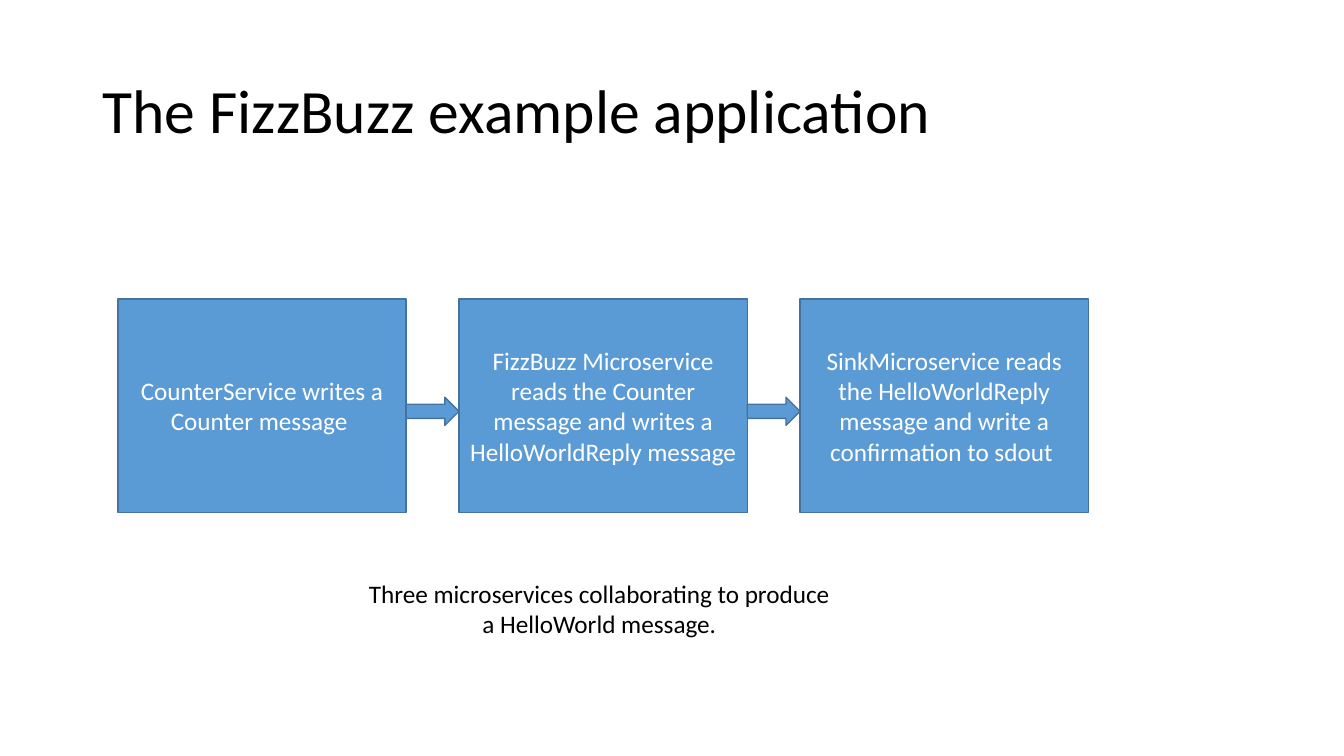
"""Build the FizzBuzz example application slide."""
from dataclasses import dataclass

import pptx
import pptx.dml.color
import pptx.enum.shapes
import pptx.enum.text
import pptx.util

Cm = pptx.util.Cm
Pt = pptx.util.Pt
RGB = pptx.dml.color.RGBColor
SHAPE = pptx.enum.shapes.MSO_SHAPE
ALIGN = pptx.enum.text.PP_ALIGN
ANCHOR = pptx.enum.text.MSO_ANCHOR
AUTO = pptx.enum.text.MSO_AUTO_SIZE


@dataclass(frozen=True)
class Theme:
    """Hold the colours, font and type sizes of the slide."""
    font: str = "Calibri"
    title_size: int = 44
    body_size: int = 18
    text: RGB = RGB(0x00, 0x00, 0x00)
    box_text: RGB = RGB(0xFF, 0xFF, 0xFF)
    fill: RGB = RGB(0x5B, 0x9B, 0xD5)
    line: RGB = RGB(0x43, 0x73, 0x9E)


THEME = Theme()
SERVICES = (
    "CounterService writes a Counter message ",
    "FizzBuzz Microservice reads the Counter message and writes a "
    "HelloWorldReply message ",
    "SinkMicroservice reads the HelloWorldReply message and write a "
    "confirmation to sdout ",
)


def write(sp, text, size, color, align, anchor):
    """Put one formatted paragraph into a shape."""
    tf = sp.text_frame
    tf.word_wrap = True
    tf.vertical_anchor = anchor
    tf.text = text
    p = tf.paragraphs[0]
    p.alignment = align
    p.font.name = THEME.font
    p.font.size = Pt(size)
    p.font.color.rgb = color
    return tf


def add_block(slide, kind, left, top, width, height):
    """Add a filled and outlined preset shape."""
    sp = slide.shapes.add_shape(kind, Cm(left), Cm(top), Cm(width), Cm(height))
    sp.shadow.inherit = False
    sp.fill.solid()
    sp.fill.fore_color.rgb = THEME.fill
    sp.line.color.rgb = THEME.line
    sp.line.width = Pt(1)
    return sp


def add_title(slide, text, left, top, width, height):
    """Place and format the title placeholder."""
    sp = slide.shapes.title
    sp.left, sp.top, sp.width, sp.height = Cm(left), Cm(top), Cm(width), Cm(height)
    tf = write(sp, text, THEME.title_size, THEME.text, ALIGN.LEFT, ANCHOR.MIDDLE)
    tf.auto_size = AUTO.NONE
    tf.paragraphs[0].line_spacing = 0.9


def add_pipeline(slide, services, left, top, width, height):
    """Spread service boxes over the width and join them with block arrows."""
    gap, arrow_height, arrow_drop = 1.33, 0.71, 0.14
    count = len(services)
    box_width = (width - gap * (count - 1)) / count
    lefts = [left + i * (box_width + gap) for i in range(count)]
    for x, service in zip(lefts, services):
        sp = add_block(slide, SHAPE.RECTANGLE, x, top, box_width, height)
        write(sp, service, THEME.body_size, THEME.box_text,
              ALIGN.CENTER, ANCHOR.MIDDLE)
    arrow_top = top + (height - arrow_height) / 2 + arrow_drop
    for x in lefts[:-1]:
        add_block(slide, SHAPE.RIGHT_ARROW, x + box_width, arrow_top,
                  gap, arrow_height)


def add_caption(slide, text, left, top, width, height):
    """Add the centred caption below the pipeline."""
    sp = slide.shapes.add_textbox(Cm(left), Cm(top), Cm(width), Cm(height))
    tf = write(sp, text, THEME.body_size, THEME.text, ALIGN.CENTER, ANCHOR.TOP)
    tf.auto_size = AUTO.SHAPE_TO_FIT_TEXT


def main():
    """Build and save the presentation."""
    prs = pptx.Presentation()
    prs.slide_width, prs.slide_height = Cm(33.87), Cm(19.05)
    slide = prs.slides.add_slide(prs.slide_layouts[5])
    add_title(slide, "The FizzBuzz example application", 2.33, 1.01, 29.21, 3.68)
    add_pipeline(slide, SERVICES, 2.97, 7.54, 24.46, 5.37)
    add_caption(slide, "Three microservices collaborating to produce "
                "a HelloWorld message.", 8.97, 14.45, 12.27, 1.8)
    prs.save("out.pptx")


main()
